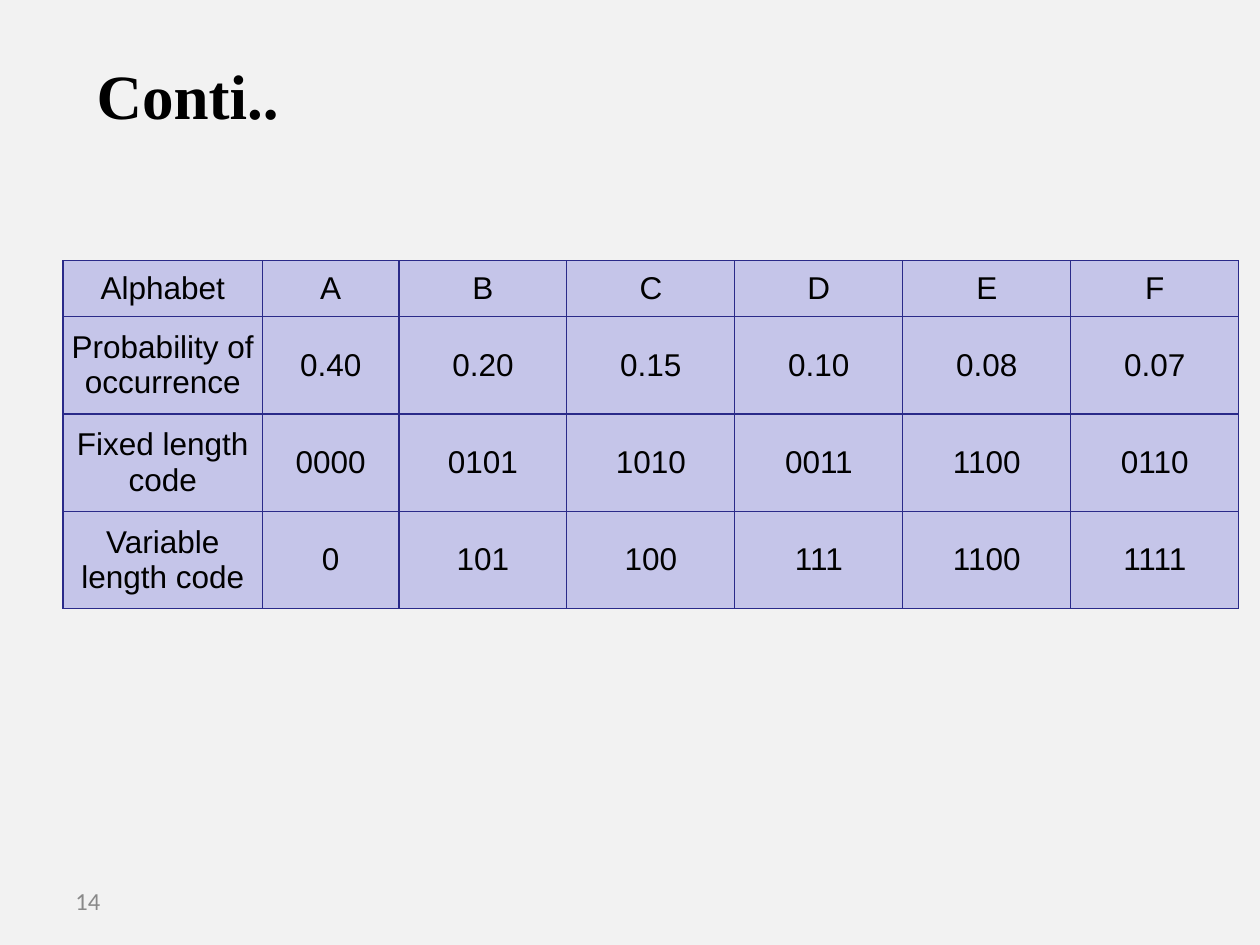
from dataclasses import dataclass

from lxml import etree
from pptx import Presentation
from pptx.dml.color import RGBColor
from pptx.enum.text import MSO_ANCHOR, PP_ALIGN
from pptx.oxml.ns import qn
from pptx.util import Pt

MIDDLE = MSO_ANCHOR.MIDDLE
LEFT, CENTER = PP_ALIGN.LEFT, PP_ALIGN.CENTER


@dataclass(frozen=True)
class Theme:
    background: str = "F2F2F2"
    text: str = "000000"
    muted: str = "898989"
    cell: str = "C5C5E9"
    border: str = "2A2A89"
    border_width: float = 0.75
    title_font: str = "Times New Roman"
    table_font: str = "Arial"
    number_font: str = "Calibri"
    title_size: float = 36
    table_size: float = 18
    number_size: float = 14


@dataclass(frozen=True)
class Box:
    left: float
    top: float
    width: float
    height: float

    def lengths(self) -> tuple:
        return Pt(self.left), Pt(self.top), Pt(self.width), Pt(self.height)


@dataclass(frozen=True)
class CodeRow:
    label: str
    values: tuple
    height: float


THEME = Theme()
TITLE_BOX = Box(48, 24, 613.5, 60)
NUMBER_BOX = Box(36, 500.5, 168, 28.75)
LABEL_WIDTH, FIRST_WIDTH, VALUE_WIDTH = 114, 78, 96
HEADER_HEIGHT, BODY_HEIGHT = 32, 55.6
CELL_MARGIN = 3.6

ROWS = [
    CodeRow("Alphabet", tuple("ABCDEF"), HEADER_HEIGHT),
    CodeRow("Probability of occurrence",
            ("0.40", "0.20", "0.15", "0.10", "0.08", "0.07"), BODY_HEIGHT),
    CodeRow("Fixed length code",
            ("0000", "0101", "1010", "0011", "1100", "0110"), BODY_HEIGHT),
    CodeRow("Variable length code",
            ("0", "101", "100", "111", "1100", "1111"), BODY_HEIGHT),
]


def write(tf, text: str, *, font: str, size: float, color: str = THEME.text,
          bold: bool = False, align=LEFT) -> None:
    """Put one formatted paragraph into a text frame."""
    p = tf.paragraphs[0]
    p.alignment = align
    r = p.add_run()
    r.text = text
    r.font.name, r.font.size, r.font.bold = font, Pt(size), bold
    r.font.color.rgb = RGBColor.from_string(color)


def add_borders(cell) -> None:
    tc_pr = cell._tc.get_or_add_tcPr()
    for side in ("a:lnL", "a:lnR", "a:lnT", "a:lnB"):
        ln = etree.SubElement(tc_pr, qn(side), w=str(Pt(THEME.border_width)))
        fill = etree.SubElement(ln, qn("a:solidFill"))
        etree.SubElement(fill, qn("a:srgbClr"), val=THEME.border)


def format_cell(cell, text: str) -> None:
    add_borders(cell)
    cell.fill.solid()
    cell.fill.fore_color.rgb = RGBColor.from_string(THEME.cell)
    cell.vertical_anchor = MIDDLE
    cell.margin_left = cell.margin_right = Pt(CELL_MARGIN)
    cell.margin_top = cell.margin_bottom = Pt(CELL_MARGIN)
    write(cell.text_frame, text, font=THEME.table_font,
          size=THEME.table_size, align=CENTER)


def add_code_table(s, rows: list, left: float, top: float) -> None:
    widths = [LABEL_WIDTH, FIRST_WIDTH]
    widths += [VALUE_WIDTH] * (len(rows[0].values) - 1)
    box = Box(left, top, sum(widths), sum(row.height for row in rows))
    table = s.shapes.add_table(len(rows), len(widths), *box.lengths()).table
    for column, width in zip(table.columns, widths):
        column.width = Pt(width)
    for i, row in enumerate(rows):
        table.rows[i].height = Pt(row.height)
        for j, text in enumerate((row.label, *row.values)):
            format_cell(table.cell(i, j), text)


def main() -> None:
    prs = Presentation()
    prs.slide_width, prs.slide_height = Pt(720), Pt(540)
    s = prs.slides.add_slide(prs.slide_layouts[5])
    s.background.fill.solid()
    s.background.fill.fore_color.rgb = RGBColor.from_string(THEME.background)

    # Slide number
    sp = s.shapes.add_textbox(*NUMBER_BOX.lengths())
    tf = sp.text_frame
    tf.word_wrap = True
    tf.vertical_anchor = MIDDLE
    write(tf, "14", font=THEME.number_font, size=THEME.number_size,
          color=THEME.muted)

    # Title
    title = s.shapes.title
    title.left, title.top, title.width, title.height = TITLE_BOX.lengths()
    title.text_frame.vertical_anchor = MIDDLE
    write(title.text_frame, "Conti..", font=THEME.title_font,
          size=THEME.title_size, bold=True)

    # Code table
    add_code_table(s, ROWS, left=36, top=149)

    prs.save("out.pptx")


if __name__ == "__main__":
    main()
